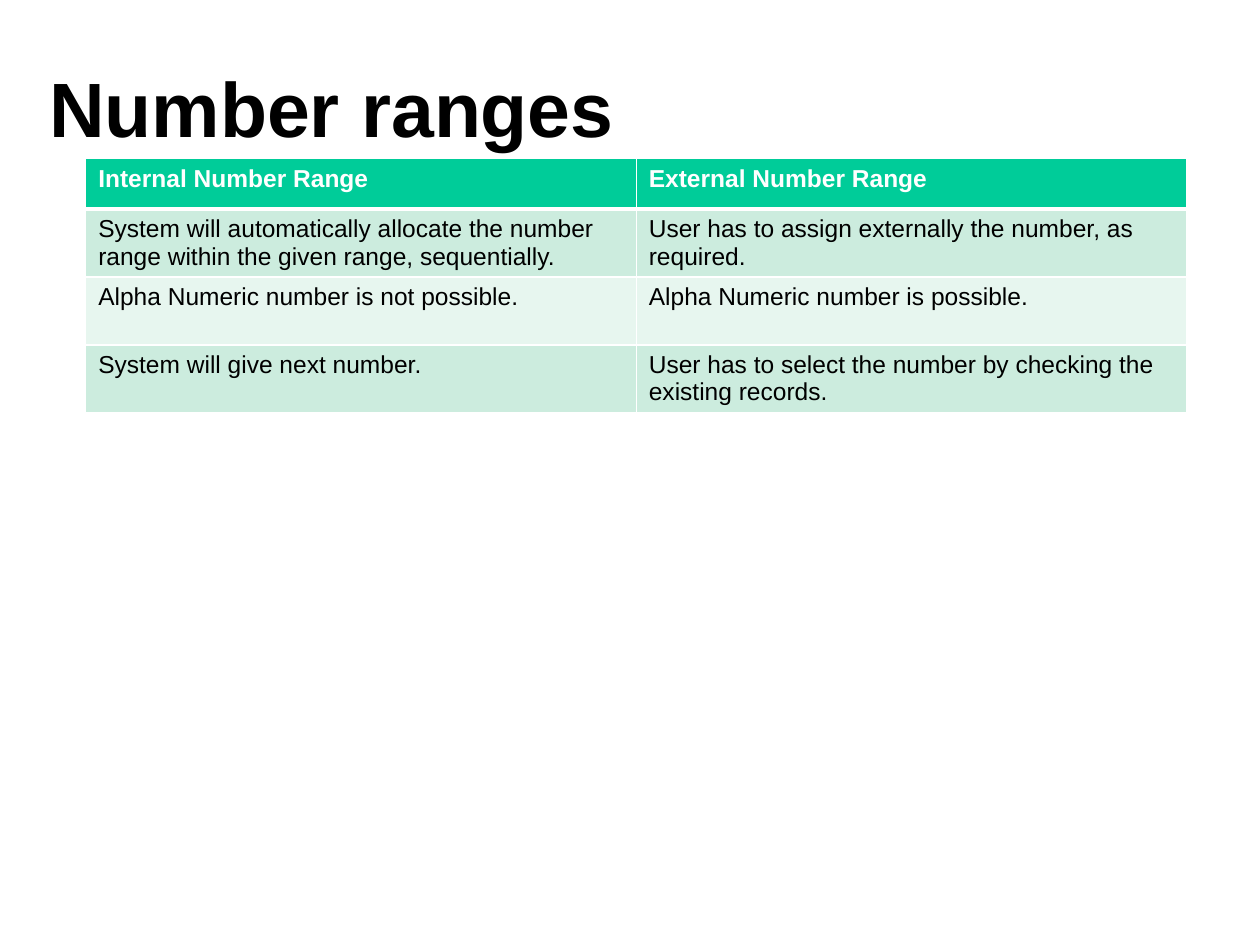
"""Build the slide comparing internal and external number ranges."""
from lxml.etree import SubElement
from pptx import Presentation
from pptx.dml.color import RGBColor
from pptx.enum.text import MSO_ANCHOR, PP_ALIGN
from pptx.oxml.ns import qn
from pptx.util import Inches, Pt

BLACK = RGBColor(0x00, 0x00, 0x00)
WHITE = RGBColor(0xFF, 0xFF, 0xFF)
GREEN = RGBColor(0x00, 0xCC, 0x99)
MINT = RGBColor(0xCC, 0xEC, 0xDE)
PALE_MINT = RGBColor(0xE7, 0xF6, 0xEF)

RANGES = [
    ("Internal Number Range", "External Number Range"),
    ("System will automatically allocate the number range within the given range, sequentially.",
     "User has to assign externally the number, as required."),
    ("Alpha Numeric number is not possible.", "Alpha Numeric number is possible."),
    ("System will give next number.",
     "User has to select the number by checking the existing records."),
]
ROW_HEIGHTS = [0.4, 0.53, 0.54, 0.53]


def write(frame, text, *, size, color=BLACK, bold=False, font="Arial"):
    """Put formatted text into a text frame."""
    paragraph = frame.paragraphs[0]
    paragraph.alignment = PP_ALIGN.LEFT
    run = paragraph.add_run()
    run.text = text
    run.font.name = font
    run.font.size = Pt(size)
    run.font.bold = bold
    run.font.color.rgb = color


class SlideBuilder:
    """Hold the style and the slide being filled."""

    title_size = 44
    cell_size = 14
    rule = Pt(1)
    header_rule = Pt(3)

    def __init__(self, deck):
        """Add a slide with a title placeholder."""
        self.slide = deck.slides.add_slide(deck.slide_layouts[5])

    def title(self, text, left, top, width, height):
        """Move, format and fill the title placeholder."""
        heading = self.slide.shapes.title
        heading.left, heading.top = Inches(left), Inches(top)
        heading.width, heading.height = Inches(width), Inches(height)
        frame = heading.text_frame
        frame.margin_left = frame.margin_right = 0
        frame.margin_top = frame.margin_bottom = 0
        frame.vertical_anchor = MSO_ANCHOR.BOTTOM
        write(frame, text, size=self.title_size, bold=True)

    def borders(self, cell, top, bottom):
        """Draw white rules around a cell."""
        properties = cell._tc.get_or_add_tcPr()
        widths = {"lnL": self.rule, "lnR": self.rule, "lnT": top, "lnB": bottom}
        for side, width in widths.items():
            line = SubElement(properties, qn(f"a:{side}"), w=str(width))
            fill = SubElement(line, qn("a:solidFill"))
            SubElement(fill, qn("a:srgbClr"), val=str(WHITE))

    def table(self, rows, heights, left, top, width):
        """Add a table with a header row and banded body rows."""
        grid = self.slide.shapes.add_table(
            len(rows), len(rows[0]), Inches(left), Inches(top),
            Inches(width), Inches(sum(heights))).table
        for index, (texts, height) in enumerate(zip(rows, heights)):
            header = index == 0
            fill = GREEN if header else MINT if index % 2 else PALE_MINT
            grid.rows[index].height = Inches(height)
            for column, text in enumerate(texts):
                cell = grid.cell(index, column)
                self.borders(cell,
                             top=self.header_rule if index == 1 else self.rule,
                             bottom=self.header_rule if header else self.rule)
                cell.fill.solid()
                cell.fill.fore_color.rgb = fill
                write(cell.text_frame, text, size=self.cell_size,
                      color=WHITE if header else BLACK, bold=header)


def main():
    """Build and save the deck."""
    deck = Presentation()
    deck.slide_width, deck.slide_height = Inches(10), Inches(7.5)
    builder = SlideBuilder(deck)
    builder.title("Number ranges", 0.39, 0.48, 9.55, 0.73)
    builder.table(RANGES, ROW_HEIGHTS, 0.68, 1.26, 8.74)
    deck.save("out.pptx")


if __name__ == "__main__":
    main()
